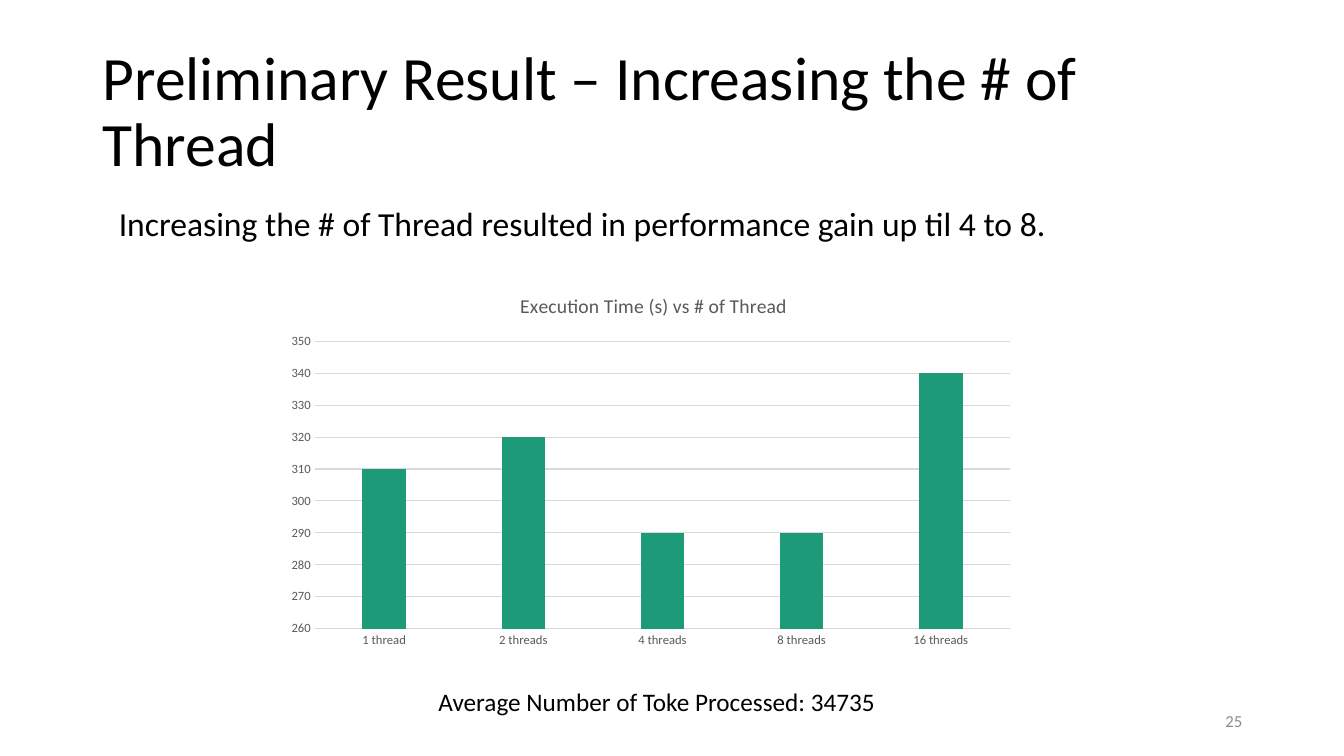
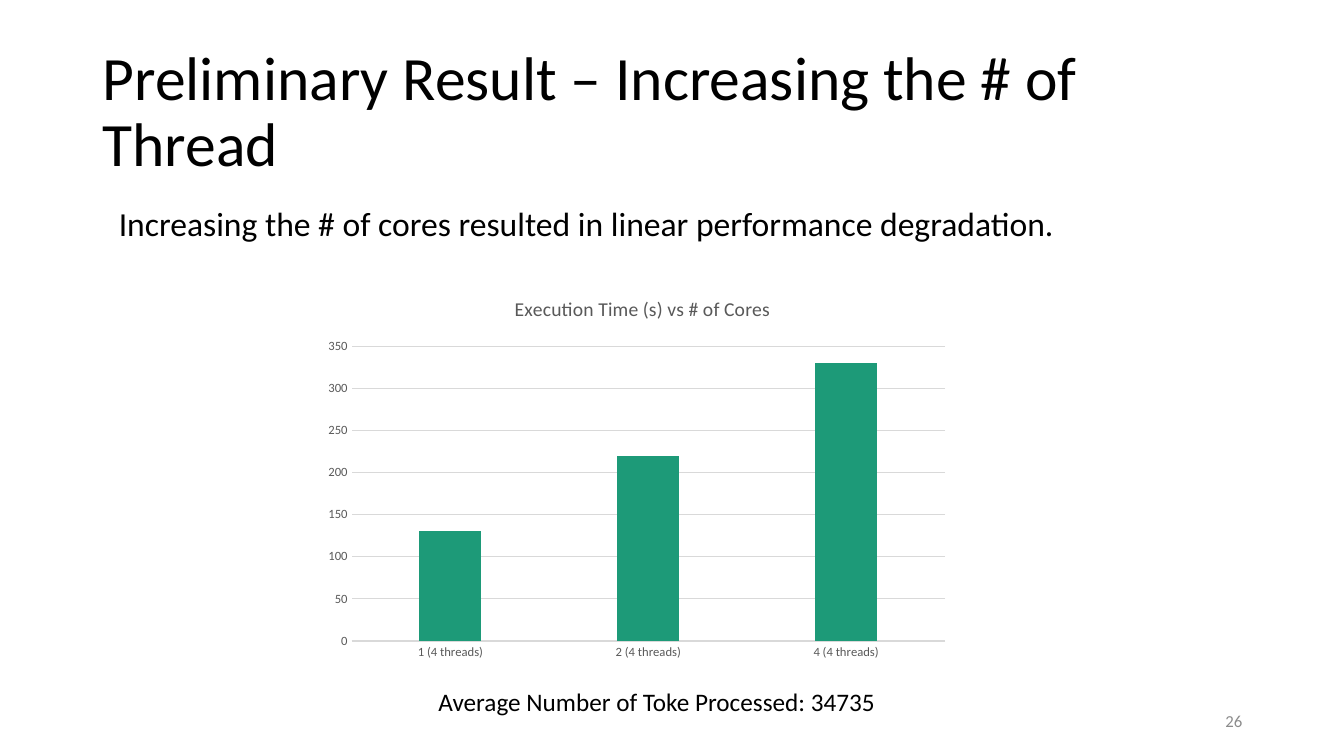
"""Build two slides that chart execution time against threads and cores."""
from dataclasses import dataclass

from lxml.etree import SubElement
from pptx import Presentation
from pptx.chart.data import CategoryChartData
from pptx.dml.color import RGBColor
from pptx.enum.chart import XL_CHART_TYPE, XL_TICK_MARK
from pptx.enum.text import MSO_ANCHOR, PP_ALIGN
from pptx.oxml.ns import qn
from pptx.util import Inches, Pt


@dataclass(frozen=True)
class Theme:
    font: str = "Calibri"
    ink: str = "000000"
    muted: str = "595959"
    footer: str = "8C8C8C"
    grid: str = "D9D9D9"
    bar: str = "1D9A78"
    title_size: int = 44
    message_size: int = 24
    note_size: int = 18
    chart_title_size: int = 14
    footer_size: int = 12
    axis_size: int = 9
    grid_width: float = 0.75


class Deck:
    def __init__(self, theme):
        self.theme = theme
        self.presentation = Presentation()
        self.presentation.slide_width = Inches(13.33)
        self.presentation.slide_height = Inches(7.5)
        self.slide = None

    def add_slide(self, number):
        self.slide = self.presentation.slides.add_slide(self.presentation.slide_layouts[6])
        page = self.text(str(number), (9.42, 6.95, 3, 0.4), self.theme.footer_size,
                         self.theme.footer, MSO_ANCHOR.MIDDLE)
        page.alignment = PP_ALIGN.RIGHT

    def style(self, font, size, color):
        font.name = self.theme.font
        font.size = Pt(size)
        font.bold = False
        font.color.rgb = RGBColor.from_string(color)

    def text(self, wording, box, size, color, anchor=MSO_ANCHOR.TOP, wrap=True):
        frame = self.slide.shapes.add_textbox(*map(Inches, box)).text_frame
        frame.word_wrap = wrap
        frame.vertical_anchor = anchor
        frame.text = wording
        paragraph = frame.paragraphs[0]
        self.style(paragraph.runs[0].font, size, color)
        return paragraph

    def title(self, wording):
        heading = self.text(wording, (0.92, 0.4, 11.5, 1.45), self.theme.title_size,
                            self.theme.ink, MSO_ANCHOR.MIDDLE)
        heading.line_spacing = 0.9

    def message(self, wording):
        self.text(wording, (1.08, 1.96, 10.5, 0.5), self.theme.message_size, self.theme.ink)

    def note(self, wording):
        self.text(wording, (4.25, 6.76, 4.58, 0.4), self.theme.note_size,
                  self.theme.ink, wrap=False)

    def place(self, parent, index, **settings):
        for previous in parent.findall(qn("c:layout")):
            parent.remove(previous)
        layout = SubElement(parent, qn("c:layout"))
        manual = SubElement(layout, qn("c:manualLayout"))
        for tag, value in settings.items():
            SubElement(manual, qn(f"c:{tag}")).set("val", str(value))
        parent.insert(index, layout)

    def grid_line(self, line):
        line.color.rgb = RGBColor.from_string(self.theme.grid)
        line.width = Pt(self.theme.grid_width)

    def column_chart(self, heading, heading_left, box, times, scale):
        data = CategoryChartData()
        data.categories = list(times)
        data.add_series("Series 1", list(times.values()))
        chart = self.slide.shapes.add_chart(
            XL_CHART_TYPE.COLUMN_CLUSTERED, *map(Inches, box), data).chart
        chart.has_legend = False
        chart.font.name = self.theme.font

        chart.has_title = True
        chart.chart_title.text_frame.text = heading
        run = chart.chart_title.text_frame.paragraphs[0].runs[0]
        self.style(run.font, self.theme.chart_title_size, self.theme.muted)
        chart.chart_title.include_in_layout = False
        self.place(chart.chart_title._element, 1, xMode="edge", yMode="edge",
                   x=heading_left, y=0.03)

        plot = chart.plots[0]
        plot.gap_width = 219
        plot.overlap = -27
        plot.vary_by_categories = False
        fill = plot.series[0].format.fill
        fill.solid()
        fill.fore_color.rgb = RGBColor.from_string(self.theme.bar)
        self.place(chart._chartSpace.chart.plotArea, 0, layoutTarget="inner",
                   xMode="edge", yMode="edge", x=0.05, y=0.17, w=0.93, h=0.76)

        for axis in (chart.category_axis, chart.value_axis):
            axis.major_tick_mark = XL_TICK_MARK.NONE
            axis.minor_tick_mark = XL_TICK_MARK.NONE
            self.style(axis.tick_labels.font, self.theme.axis_size, self.theme.muted)
        self.grid_line(chart.category_axis.format.line)
        values = chart.value_axis
        values.minimum_scale, values.maximum_scale, values.major_unit = scale
        values.format.line.fill.background()
        values.has_major_gridlines = True
        self.grid_line(values.major_gridlines.format.line)


RESULTS = [
    {
        "message": "Increasing the # of Thread resulted in performance gain up til 4 to 8.",
        "chart": {
            "heading": "Execution Time (s) vs # of Thread",
            "heading_left": 0.32,
            "box": (2.75, 2.75, 7.42, 3.75),
            "times": {"1 thread": 310, "2 threads": 320, "4 threads": 290,
                      "8 threads": 290, "16 threads": 340},
            "scale": (260, 350, 10),
        },
    },
    {
        "message": "Increasing the # of cores resulted in linear performance degradation.",
        "chart": {
            "heading": "Execution Time (s) vs # of Cores",
            "heading_left": 0.3,
            "box": (3.17, 2.78, 6.33, 3.85),
            "times": {"1 (4 threads)": 130, "2 (4 threads)": 220, "4 (4 threads)": 330},
            "scale": (0, 350, 50),
        },
    },
]


def main():
    deck = Deck(Theme())
    for number, result in enumerate(RESULTS, start=25):
        deck.add_slide(number)
        deck.title("Preliminary Result – Increasing the # of Thread")
        deck.message(result["message"])
        deck.column_chart(**result["chart"])
        deck.note("Average Number of Toke Processed: 34735")
    deck.presentation.save("out.pptx")


if __name__ == "__main__":
    main()
